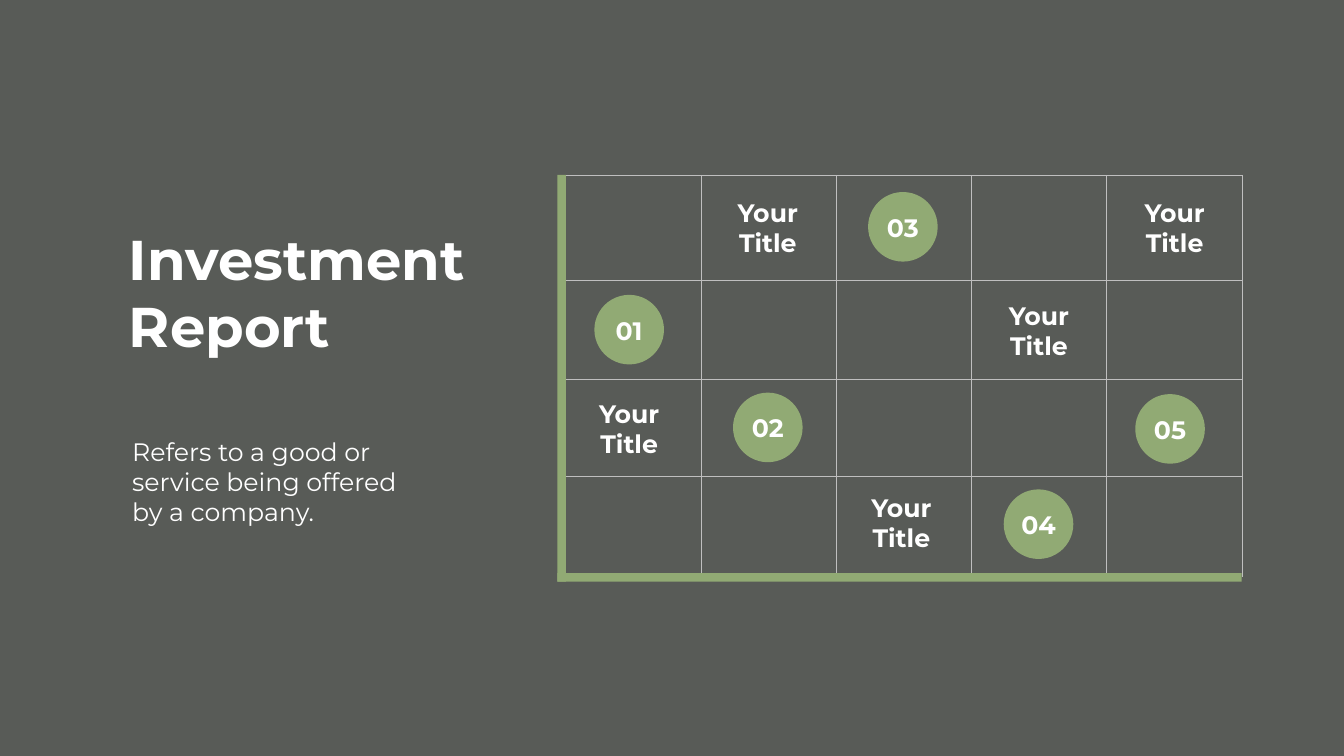
from lxml import etree
from pptx import Presentation
from pptx.dml.color import RGBColor
from pptx.enum.shapes import MSO_CONNECTOR as CONN, MSO_SHAPE as SHAPE
from pptx.enum.text import MSO_AUTO_SIZE as AUTO, PP_ALIGN as ALIGN
from pptx.oxml.ns import qn
from pptx.util import Pt

GREY = RGBColor(0x58, 0x5B, 0x57)
GREEN = RGBColor(0x91, 0xAA, 0x74)
SILVER = RGBColor(0xBF, 0xBF, 0xBF)
WHITE = RGBColor(0xFF, 0xFF, 0xFF)

WIDTH, HEIGHT = 1919.5, 1080


class Deck:
    font = "Montserrat"

    def __init__(self, slide):
        self.s = slide

    def shape(self, kind, x, y, w, h, color):
        sp = self.s.shapes.add_shape(kind, Pt(x), Pt(y), Pt(w), Pt(h))
        sp.shadow.inherit = False
        sp.fill.solid()
        sp.fill.fore_color.rgb = color
        sp.line.fill.background()

    def line(self, x1, y1, x2, y2):
        cn = self.s.shapes.add_connector(CONN.STRAIGHT, Pt(x1), Pt(y1), Pt(x2), Pt(y2))
        cn.line.color.rgb = SILVER
        cn.line.width = Pt(0.5)
        etree.SubElement(cn._element.spPr, qn("a:effectLst"))

    def text(self, text, x, y, w, h, size=36, bold=True, align=ALIGN.CENTER, inset=(7.2, 3.6)):
        tf = self.s.shapes.add_textbox(Pt(x), Pt(y), Pt(w), Pt(h)).text_frame
        tf.word_wrap = True
        tf.auto_size = AUTO.SHAPE_TO_FIT_TEXT
        tf.margin_left = tf.margin_right = Pt(inset[0])
        tf.margin_top = tf.margin_bottom = Pt(inset[1])
        p = tf.paragraphs[0]
        p.text = text
        p.alignment = align
        f = p.runs[0].font
        f.name, f.size, f.bold = self.font, Pt(size), bold
        f.color.rgb = WHITE


prs = Presentation()
prs.slide_width, prs.slide_height = Pt(WIDTH), Pt(HEIGHT)
d = Deck(prs.slides.add_slide(prs.slide_layouts[6]))

# Background
d.shape(SHAPE.RECTANGLE, 0, 0, WIDTH, HEIGHT, GREY)

# Grid
LEFT, TOP, RIGHT, BOTTOM = 802, 249.8, 1773.4, 825
COLUMN = 193
for i in range(5):
    x = RIGHT - COLUMN * (4 - i)
    d.line(x, TOP, x, BOTTOM)
for y in (TOP, 399.6, 541.4, 680.4):
    d.line(LEFT, y, RIGHT, y)

# Axis bars
BAR = 12.2
AXIS_X = LEFT - BAR / 2
AXIS_Y = BOTTOM - BAR / 2
d.shape(SHAPE.RECTANGLE, AXIS_X, AXIS_Y, RIGHT - AXIS_X, BAR, GREEN)
d.shape(SHAPE.RECTANGLE, AXIS_X, TOP, BAR, AXIS_Y + BAR - TOP, GREEN)

# Numbered circles, each with a title in a nearby cell
CIRCLE = 99.4
NUMBER_W, NUMBER_H = 83.5, 51.1
TITLE_W, TITLE_H = 113.8, 94.3
STEPS = [  # circle x, circle y, title x, title y
    (848.9, 421.2, 841.7, 565.2),
    (1046.9, 560.9, 1039.7, 278.6),
    (1239.8, 274.3, 1230.5, 699.8),
    (1433.5, 699.1, 1427, 424.8),
    (1621.4, 563, 1620.7, 278),
]
for n, (cx, cy, tx, ty) in enumerate(STEPS, 1):
    d.shape(SHAPE.OVAL, cx, cy, CIRCLE, CIRCLE, GREEN)
    d.text(f"{n:02}", cx + (CIRCLE - NUMBER_W) / 2, cy + 25, NUMBER_W, NUMBER_H)
    d.text("Your Title", tx, ty, TITLE_W, TITLE_H)

# Heading and description
d.text("Investment Report", 177.1, 317.5, 534.2, 200.9, size=80, align=ALIGN.LEFT)
d.text("Refers to a good or service being offered by a company.",
       171.4, 614.2, 432.7, 148.3, bold=False, align=ALIGN.LEFT, inset=(17.3, 8.6))

prs.save("out.pptx")
